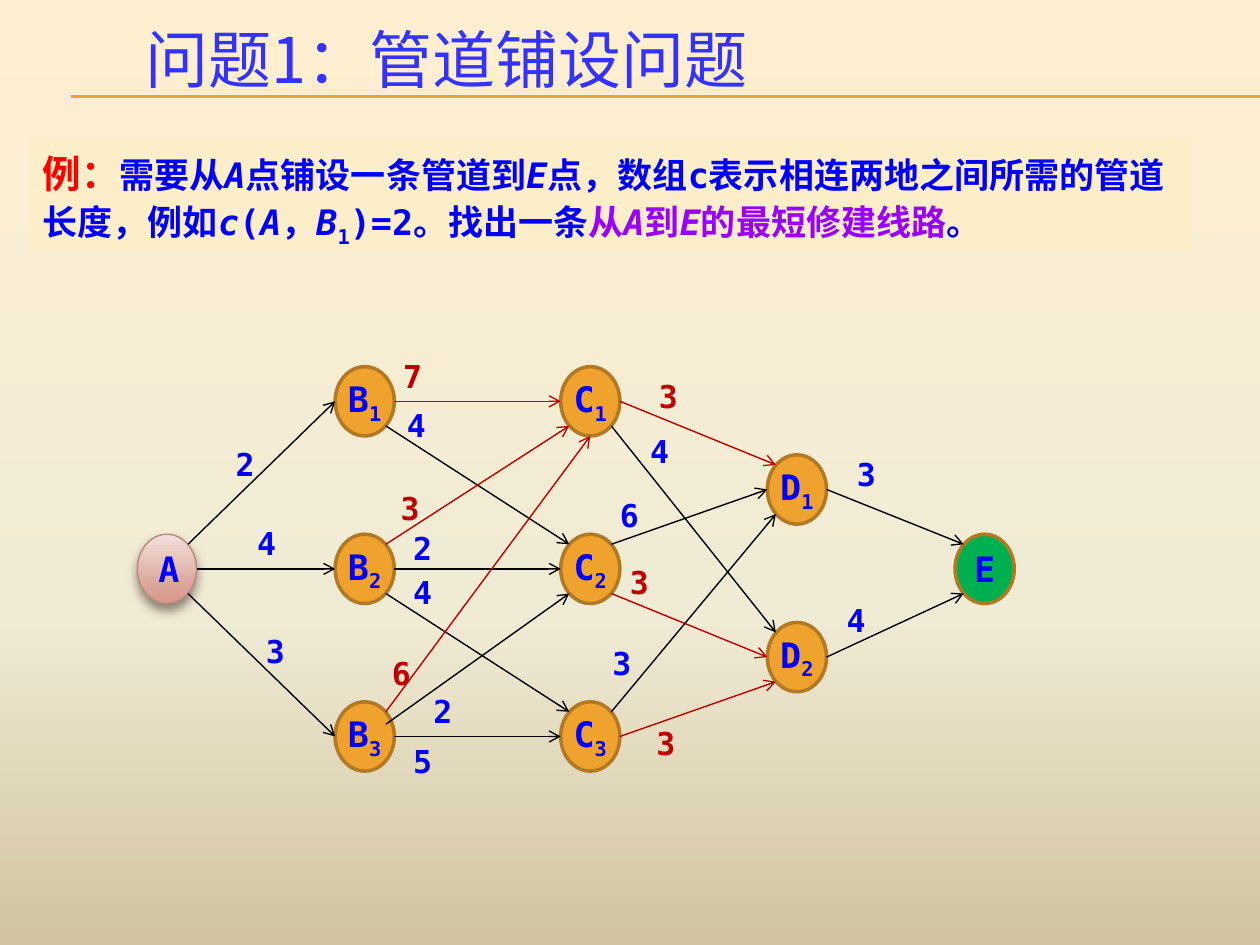
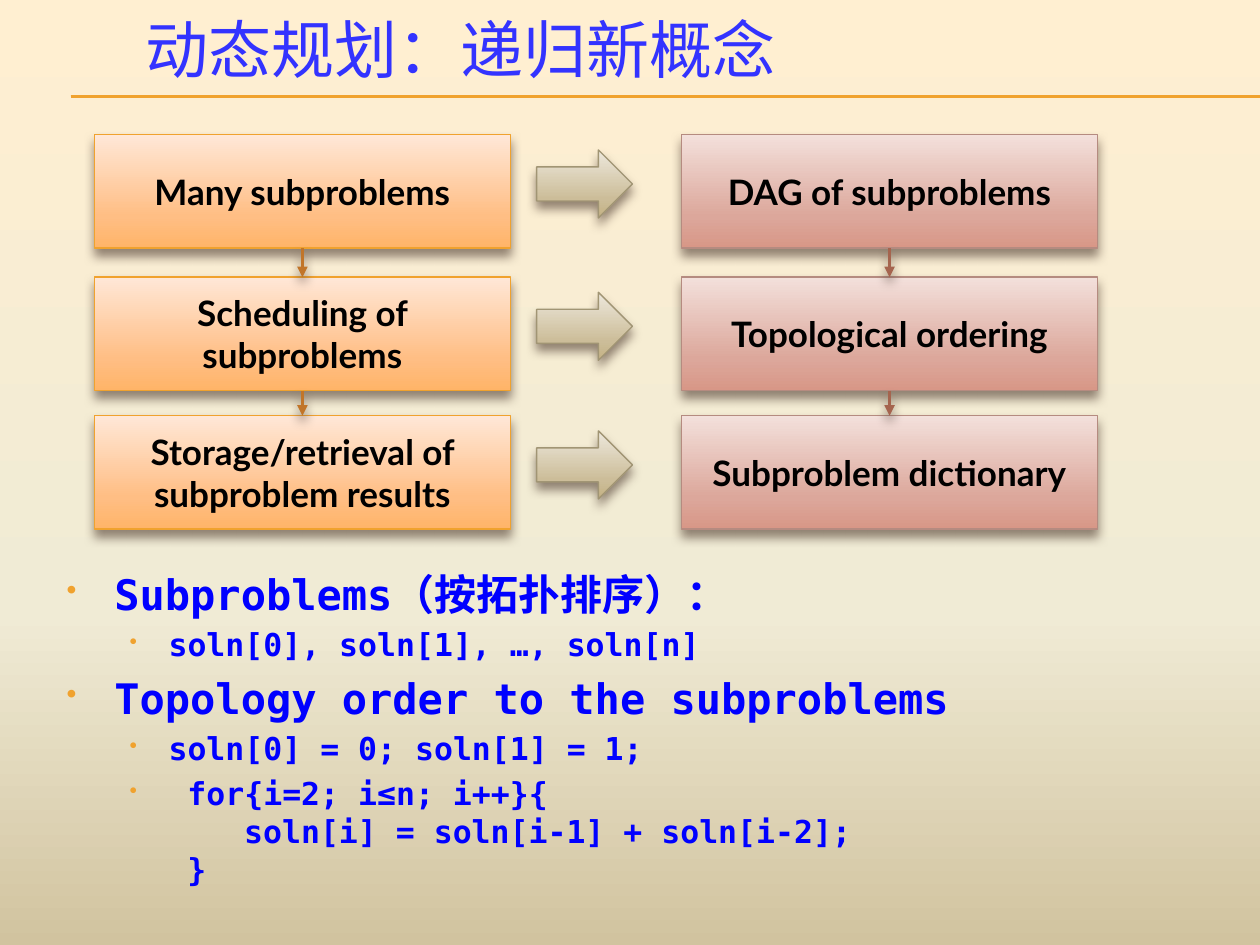
from dataclasses import dataclass
from itertools import pairwise

from lxml import etree
from pptx import Presentation
from pptx import util as u
from pptx.dml.color import RGBColor
from pptx.enum import shapes, text
from pptx.oxml.ns import qn

In = u.Inches


@dataclass(frozen=True)
class Theme:
    title: str = "3333FF"
    blue: str = "0000FF"
    red: str = "FF0000"
    dark_red: str = "C00000"
    purple: str = "9900FF"
    black: str = "000000"
    green: str = "00B050"
    orange: str = "F0A22E"
    orange_edge: str = "B27822"
    orange_arrow: str = "C17529"
    rose_edge: str = "B58B80"
    rose_arrow: str = "A5644E"
    sand_edge: str = "A19574"
    note: str = "FBEEC9"
    shadow: str = "4E3B30"
    backdrop: tuple = ((0, "FFEFD1"), (65, "F0EBD5"), (100, "D1C39F"))
    peach: tuple = ((0, "FFE7D7"), (72, "FFBE84"), (100, "FFB468"))
    rose: tuple = ((0, "F3E0DB"), (72, "DCA79B"), (100, "D89787"))
    sand: tuple = ((0, "EDE8DC"), (72, "CCBD99"), (100, "C4B284"))
    mono: str = "DejaVu Sans Mono"
    sans: str = "Lato"
    cjk: str = "Noto Sans CJK SC"
    title_size: int = 36
    head_size: int = 24
    lead_size: int = 22
    body_size: int = 20
    small_size: int = 18
    hairline: float = 0.79


T = Theme()

NODE_W, NODE_H = 0.47, 0.55
# Column left, first row top and number of rows for each stage
STAGES = {"A": (1.09, 4.24, 1), "B": (2.66, 2.91, 3), "C": (4.45, 2.91, 3),
          "D": (6.09, 3.61, 2), "E": (7.58, 4.24, 1)}
ROW_STEP = 1.33
# Points on a node's rim, in half widths and half heights from its centre
RIM = {"left": (-1, 0), "right": (1, 0), "bottom": (0, 1),
       "NW": (-0.71, -0.71), "NE": (0.71, -0.71),
       "SW": (-0.71, 0.71), "SE": (0.71, 0.71), "ENE": (0.71, -0.35)}
# start, exit, end, entry, length, label left, label top, colour
PIPES = [
    ("A1", "NE", "B1", "left", 2, 1.87, 3.53, T.black),
    ("A1", "right", "B2", "left", 4, 2.04, 4.16, T.black),
    ("A1", "SE", "B3", "left", 3, 2.11, 5.02, T.black),
    ("B1", "right", "C1", "left", 7, 3.20, 2.83, T.dark_red),
    ("B1", "SE", "C2", "NW", 4, 3.23, 3.22, T.black),
    ("B2", "NE", "C1", "SW", 3, 3.18, 3.88, T.dark_red),
    ("B2", "right", "C2", "left", 2, 3.28, 4.20, T.black),
    ("B2", "SE", "C3", "NW", 4, 3.28, 4.55, T.black),
    ("B3", "NE", "C1", "bottom", 6, 3.11, 5.19, T.dark_red),
    ("B3", "ENE", "C2", "SW", 2, 3.44, 5.49, T.black),
    ("B3", "right", "C3", "left", 5, 3.28, 5.89, T.black),
    ("C1", "right", "D1", "NW", 3, 5.23, 2.99, T.dark_red),
    ("C1", "SE", "D2", "NW", 4, 5.16, 3.43, T.black),
    ("C2", "NE", "D1", "left", 6, 4.92, 3.94, T.black),
    ("C2", "SE", "D2", "left", 3, 5.00, 4.47, T.dark_red),
    ("C3", "NE", "D1", "SW", 3, 4.86, 5.11, T.black),
    ("C3", "right", "D2", "SW", 3, 5.21, 5.75, T.dark_red),
    ("D1", "right", "E1", "NW", 3, 6.80, 3.61, T.black),
    ("D2", "right", "E1", "SW", 4, 6.72, 4.77, T.black),
]
ITALIC = {"italic": True}
PURPLE = {"color": T.purple}
EXAMPLE = [
    ("例：", {"size": T.lead_size, "color": T.red}),
    ("需要从", {}), ("A", ITALIC), ("点铺设一条管道到", {}), ("E", ITALIC),
    ("点，数组c表示相连两地之间所需的管道长度，例如", {}),
    ("c", ITALIC), ("(", {}), ("A", ITALIC), ("，", {}), ("B", ITALIC),
    ("1", {"subscript": True}), (")=2。找出一条", {}),
    ("从", PURPLE), ("A", PURPLE | ITALIC), ("到", PURPLE),
    ("E", PURPLE | ITALIC), ("的最短修建线路", PURPLE), ("。", {}),
]

CONCEPT_TOPS = (1.07, 2.2, 3.3)
CONCEPTS = [
    (0.75, T.peach, T.orange, T.orange_arrow,
     ("Many subproblems", "Scheduling of subproblems",
      "Storage/retrieval of subproblem results")),
    (5.41, T.rose, T.rose_edge, T.rose_arrow,
     ("DAG of subproblems", "Topological ordering", "Subproblem dictionary")),
]
# text, level, left margin, bulleted
OUTLINE = [
    ("Subproblems（按拓扑排序）：", 0, 0.38, True),
    ("soln[0], soln[1], …, soln[n]", 1, 0.81, True),
    ("Topology order to the subproblems", 0, 0.38, True),
    ("soln[0] = 0; soln[1] = 1;", 1, 0.81, True),
    ("for{i=2; i≤n; i++}{", 1, 0.96, True),
    ("soln[i] = soln[i-1] + soln[i-2];", 1, 1.41, False),
    ("}", 1, 0.96, False),
]
BULLET_LEFT = (0, 0.5)


def rgb(color):
    return RGBColor.from_string(color)


def append(parent, tag, **attributes):
    """Append an XML child and return it."""
    child = etree.SubElement(parent, qn(tag))
    for name, value in attributes.items():
        child.set(name, str(value))
    return child


def find(owner, tag):
    return owner.element.find(".//" + qn(tag))


def paint(owner, fill_format, fill):
    """Fill with a colour, or downwards with gradient stops."""
    if isinstance(fill, str):
        fill_format.solid()
        fill_format.fore_color.rgb = rgb(fill)
        return
    fill_format.gradient()
    gradient = find(owner, "a:gradFill")
    stops = gradient.find(qn("a:gsLst"))
    for stop in list(stops):
        stops.remove(stop)
    for position, color in fill:
        append(append(stops, "a:gs", pos=position * 1000), "a:srgbClr", val=color)
    gradient.find(qn("a:lin")).set("ang", "5400000")


def cast_shadow(effects):
    shadow = append(effects, "a:outerShdw", blurRad=u.Pt(6), dist=u.Pt(4),
                    dir=5400000, rotWithShape=0)
    append(append(shadow, "a:srgbClr", val=T.shadow), "a:alpha", val=60000)


def write(paragraph, words, *, size=T.body_size, color=T.blue, font=T.mono,
          bold=True, italic=False, subscript=False):
    """Append a formatted run to the paragraph."""
    run = paragraph.add_run()
    run.text = words
    run.font.size, run.font.bold, run.font.italic = u.Pt(size), bold, italic
    run.font.color.rgb = rgb(color)
    run.font.name = font
    properties = run._r.get_or_add_rPr()
    append(properties, "a:ea", typeface=T.cjk)
    if subscript:
        properties.set("baseline", "-25000")


def add_text_box(slide, left, top, width, height, inset=None):
    frame = slide.shapes.add_textbox(In(left), In(top), In(width), In(height)).text_frame
    frame.word_wrap = True
    if inset is not None:
        frame.margin_left = frame.margin_right = In(inset)
        frame.margin_top = frame.margin_bottom = In(inset)
    return frame


def add_block(slide, kind, left, top, width, height, fill, edge=None,
              edge_width=T.hairline, shadow=False):
    block = slide.shapes.add_shape(kind, In(left), In(top), In(width), In(height))
    paint(block, block.fill, fill)
    if edge:
        block.line.color.rgb = rgb(edge)
        block.line.width = u.Pt(edge_width)
    else:
        block.line.fill.background()
    block.shadow.inherit = False
    if shadow:
        cast_shadow(find(block, "a:effectLst"))
    block.text_frame.word_wrap = True
    block.text_frame.vertical_anchor = text.MSO_ANCHOR.MIDDLE
    block.text_frame.paragraphs[0].alignment = text.PP_ALIGN.CENTER
    return block


def add_line(slide, start, end, color, width=T.hairline, head=None, shadow=False):
    line = slide.shapes.add_connector(shapes.MSO_CONNECTOR.STRAIGHT,
                                      *(In(value) for value in (*start, *end)))
    line.line.color.rgb = rgb(color)
    line.line.width = u.Pt(width)
    if head:
        append(find(line, "a:ln"), "a:tailEnd", type=head)
    effects = append(find(line, "p:spPr"), "a:effectLst")
    if shadow:
        cast_shadow(effects)
    return line


def add_titled_slide(deck, title, title_top, font):
    slide = deck.slides.add_slide(deck.slide_layouts[6])
    paint(slide, slide.background.fill, T.backdrop)
    for y in (0.76, 0.76, 0.77):
        add_line(slide, (0.56, y), (10, y), T.orange, 0.75)
    frame = add_text_box(slide, 1.06, title_top, 8.71, 0.76)
    frame.vertical_anchor = text.MSO_ANCHOR.MIDDLE
    write(frame.paragraphs[0], title, size=T.title_size, color=T.title,
          font=font, bold=False)
    return slide


def add_node(slide, stage, left, top, number):
    start, goal = stage == "A", stage == "E"
    node = add_block(slide, shapes.MSO_SHAPE.OVAL, left, top, NODE_W, NODE_H,
                     T.rose if start else T.green if goal else T.orange,
                     T.rose_edge if start else T.orange_edge,
                     T.hairline if start else 2, shadow=start)
    if not start:
        node.text_frame.margin_left = node.text_frame.margin_right = 0
    name = node.text_frame.paragraphs[0]
    write(name, stage)
    if not (start or goal):
        write(name, str(number), subscript=True)


def rim_point(corner, side):
    (left, top), (dx, dy) = corner, RIM[side]
    return left + NODE_W / 2 * (1 + dx), top + NODE_H / 2 * (1 + dy)


def add_network(slide):
    corners = {}
    for stage, (left, first_top, rows) in STAGES.items():
        for row in range(rows):
            corner = left, first_top + row * ROW_STEP
            corners[f"{stage}{row + 1}"] = corner
            add_node(slide, stage, *corner, row + 1)
    for start, way_out, end, way_in, length, left, top, color in PIPES:
        add_line(slide, rim_point(corners[start], way_out),
                 rim_point(corners[end], way_in), color, head="arrow")
        label = add_text_box(slide, left, top, 0.23, 0.3, inset=0)
        write(label.paragraphs[0], str(length), size=T.small_size,
              color=T.blue if color == T.black else color)


def add_example(slide):
    note = add_block(slide, shapes.MSO_SHAPE.RECTANGLE, 0.24, 1.09, 9.22, 0.9, T.note)
    note.text_frame.vertical_anchor = text.MSO_ANCHOR.TOP
    sentence = note.text_frame.paragraphs[0]
    sentence.alignment = text.PP_ALIGN.LEFT
    sentence.line_spacing = u.Pt(30)
    for words, style in EXAMPLE:
        write(sentence, words, **style)


def add_concepts(slide):
    for left, fill, edge, arrow_color, names in CONCEPTS:
        steps = []
        for top, name in zip(CONCEPT_TOPS, names):
            step = add_block(slide, shapes.MSO_SHAPE.FLOWCHART_PROCESS, left, top,
                             3.3, 0.9, fill, edge, shadow=True)
            write(step.text_frame.paragraphs[0], name, color=T.black, font=T.sans)
            steps.append(step)
        for upper, lower in pairwise(steps):
            link = add_line(slide, (0, 0), (0, 0), arrow_color, 2, "triangle", True)
            link.begin_connect(upper, 2)
            link.end_connect(lower, 0)
    for top in CONCEPT_TOPS:
        add_block(slide, shapes.MSO_SHAPE.RIGHT_ARROW, 4.26, top + 0.12, 0.76, 0.54,
                  T.sand, T.sand_edge, shadow=True)


def add_outline(slide):
    frame = add_text_box(slide, 0.43, 4.46, 9, 2.76)
    for index, (words, level, margin, bulleted) in enumerate(OUTLINE):
        item = frame.add_paragraph() if index else frame.paragraphs[0]
        item.level = level
        item.space_before = u.Pt((5, 4)[level] if bulleted else 0)
        properties = item._p.get_or_add_pPr()
        properties.set("marL", str(In(margin)))
        if bulleted:
            properties.set("indent", str(In(BULLET_LEFT[level] - margin)))
            append(append(properties, "a:buClr"), "a:srgbClr", val=T.orange)
            append(properties, "a:buSzPct", val=70000)
            append(properties, "a:buChar", char="•")
        write(item, words, size=(T.head_size, T.small_size)[level])


def main():
    deck = Presentation()
    deck.slide_width, deck.slide_height = In(10), In(7.5)
    pipeline = add_titled_slide(deck, "问题1：管道铺设问题", 0.08, T.cjk)
    add_network(pipeline)
    add_example(pipeline)
    recursion = add_titled_slide(deck, "动态规划：递归新概念", 0, T.sans)
    add_concepts(recursion)
    add_outline(recursion)
    deck.save("out.pptx")


if __name__ == "__main__":
    main()
